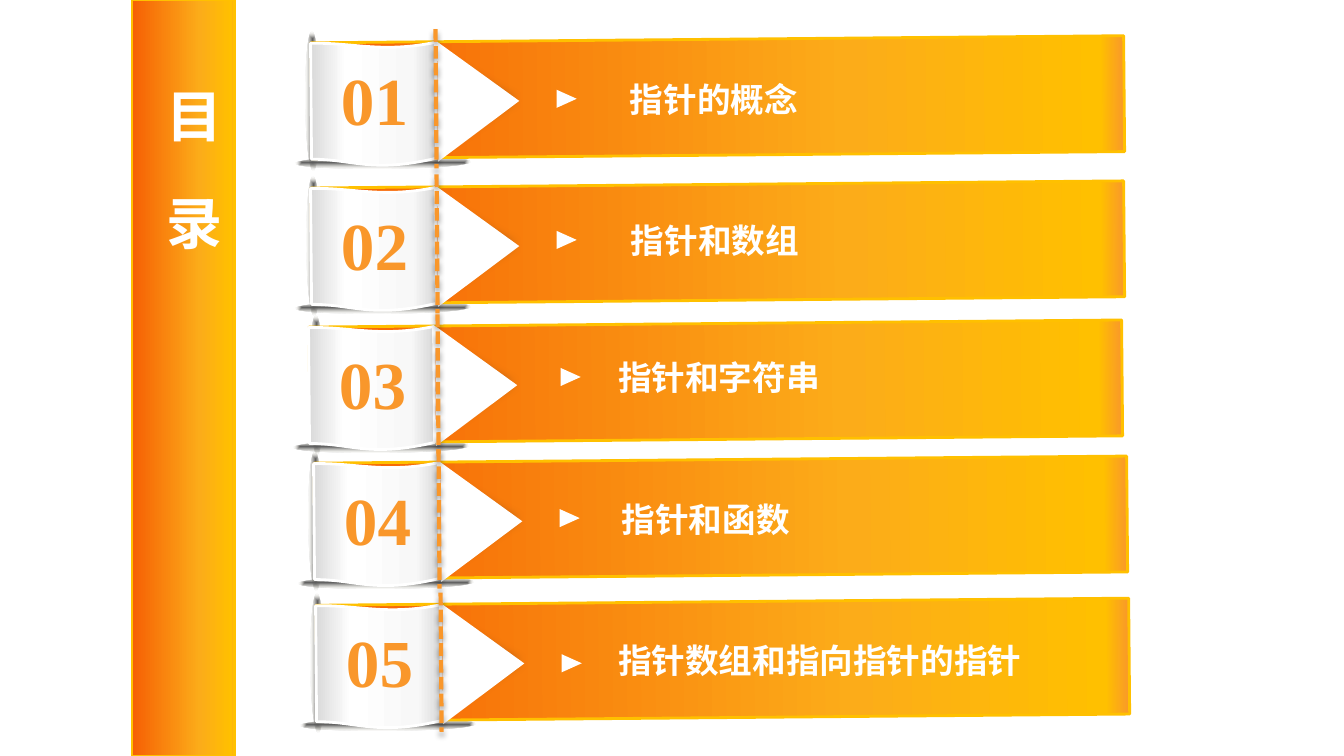
from dataclasses import dataclass

from pptx import Presentation
from pptx.dml.color import RGBColor
from pptx.enum.dml import MSO_LINE
from pptx.enum.shapes import MSO_CONNECTOR, MSO_SHAPE
from pptx.enum.text import MSO_ANCHOR, MSO_AUTO_SIZE, PP_ALIGN
from pptx.oxml import parse_xml
from pptx.oxml.ns import nsdecls, qn
from pptx.util import Inches, Pt

FONT = "Times New Roman"
ORANGE, GOLD, BROWN, WHITE = "F9972B", "FFC000", "904E1C", "FFFFFF"
BAR_STOPS = [(0, "F66004", 100), (66, "FCAC19", 100), (97, GOLD, 100), (100, ORANGE, 100)]
SHEET_STOPS = [(0, "D9D9D9", 100), (28, WHITE, 100), (81, "F8F8F8", 100), (100, "D7D7D7", 100)]
ROD_STOPS = [(0, "595959", 100), (100, "EEECE1", 0)]
LINEAR = '<a:lin ang="0" scaled="0"/>'
RADIAL = '<a:path path="shape"><a:fillToRect l="50000" t="50000" r="50000" b="50000"/></a:path>'
TILT = 359.5
UPRIGHT = 89.5

SHADE = [[(0.2, 0.05)], [(5.93, -0.01)], [(5.99, 1.14)], [(0.21, 1.06)]]
SHEET = [[(-0.01, 0.04)], [(0.41, 0.03), (0.69, 0.14), (1.23, 0.03)],
         [(1.24, 1.18)], [(0.59, 1.33), (0.42, 1.19), (0, 1.19)]]
FLAP_SHADOW = [[(1.25, 0.04)], [(1.71, 0.22), (1.6, 0.21), (2.3, 0.6)],
               [(1.56, 1.0), (1.69, 1.07), (1.26, 1.18)]]


@dataclass
class Row:
    number: str
    label: str
    left: float
    top: float
    rod_left: float
    dash: tuple
    marker: tuple
    label_box: tuple


ROWS = [
    Row("01", "指针的概念", 3.09, 0.39, 2.41, (4.32, 0.29), (5.53, 0.88), (5.61, 0.81, 2.94, 0.43)),
    Row("02", "指针和数组", 3.09, 1.83, 2.42, (4.33, 1.73), (5.53, 2.28), (5.62, 2.21, 2.94, 0.43)),
    Row("03", "指针和字符串", 3.07, 3.21, 2.45, (4.34, 3.12), (5.57, 3.64), (5.66, 3.57, 2.94, 0.43)),
    Row("04", "指针和函数", 3.12, 4.56, 2.44, (4.35, 4.46), (5.56, 5.04), (5.53, 4.98, 2.94, 0.43)),
    Row("05", "指针数组和指向指针的指针", 3.14, 5.97, 2.46, (4.37, 5.88), (5.58, 6.48), (5.73, 6.38, 4.8, 0.42)),
]


def colour(code):
    return RGBColor.from_string(code)


def draw_gradient(shape, stops, direction):
    marks = "".join(
        f'<a:gs pos="{place * 1000}"><a:srgbClr val="{code}">'
        f'<a:alpha val="{alpha * 1000}"/></a:srgbClr></a:gs>'
        for place, code, alpha in stops)
    shape.fill.background()
    properties = shape.element.spPr
    properties.replace(properties.find(qn("a:noFill")), parse_xml(
        f'<a:gradFill {nsdecls("a")} rotWithShape="1"><a:gsLst>{marks}</a:gsLst>{direction}</a:gradFill>'))


def paint(shape, fill, line=None, direction=LINEAR, alpha=None, soft=None):
    shape.shadow.inherit = False
    if isinstance(fill, list):
        draw_gradient(shape, fill, direction)
    else:
        shape.fill.solid()
        shape.fill.fore_color.rgb = colour(fill)
    if alpha:
        shape.element.spPr.find(".//" + qn("a:srgbClr")).append(
            parse_xml(f'<a:alpha {nsdecls("a")} val="{alpha * 1000}"/>'))
    if line:
        shape.line.color.rgb = colour(line)
        shape.line.width = Pt(2)
    else:
        shape.line.fill.background()
    if soft:
        shape.element.spPr.find(qn("a:effectLst")).append(
            parse_xml(f'<a:softEdge {nsdecls("a")} rad="{Pt(soft)}"/>'))
    return shape


def add_preset(page, kind, box, fill, rotation=0, **look):
    shape = page.shapes.add_shape(kind, *map(Inches, box))
    shape.rotation = rotation
    return paint(shape, fill, **look)


def bend(shape, segments):
    steps = iter(list(shape.element.spPr.iter(qn("a:lnTo"))))
    for segment in segments[1:]:
        first, *others = [next(steps) for _ in segment]
        if others:
            curve = parse_xml(f'<a:cubicBezTo {nsdecls("a")}/>')
            first.addprevious(curve)
            for step in (first, *others):
                curve.append(step[0])
                step.getparent().remove(step)


def add_outline(page, left, top, segments, fill, **look):
    start, *others = [(Inches(left + x), Inches(top + y)) for segment in segments for x, y in segment]
    builder = page.shapes.build_freeform(*start)
    builder.add_line_segments(others, close=False)
    shape = builder.convert_to_shape()
    bend(shape, segments)
    outline = next(shape.element.spPr.iter(qn("a:moveTo"))).getparent()
    outline.append(parse_xml(f'<a:close {nsdecls("a")}/>'))
    return paint(shape, fill, **look)


def write(frame, text, size, code, align=PP_ALIGN.CENTER, spacing=None, tracking=None):
    para = frame.paragraphs[0]
    para.alignment = align
    para.line_spacing = spacing
    span = para.add_run()
    span.text = text
    span.font.name = FONT
    span.font.size = Pt(size)
    span.font.bold = True
    span.font.color.rgb = colour(code)
    if tracking:
        span.font._element.set("spc", str(tracking * 100))


def add_label(page, box, text, size, code):
    frame = page.shapes.add_textbox(*map(Inches, box)).text_frame
    frame.word_wrap = True
    frame.auto_size = MSO_AUTO_SIZE.SHAPE_TO_FIT_TEXT
    write(frame, text, size, code, spacing=0.8)


def add_dash(page, left, top):
    dash = page.shapes.add_connector(
        MSO_CONNECTOR.STRAIGHT, *map(Inches, (left, top, left + 0.01, top + 1.38)))
    dash.line.color.rgb = colour(ORANGE)
    dash.line.width = Pt(3)
    dash.line.dash_style = MSO_LINE.SQUARE_DOT
    dash.element.spPr.append(parse_xml(
        f'<a:effectLst {nsdecls("a")}><a:outerShdw blurRad="{Pt(4)}" dist="{Pt(3)}" dir="5400000">'
        '<a:srgbClr val="000000"><a:alpha val="40000"/></a:srgbClr></a:outerShdw></a:effectLst>'))


def add_row(page, row):
    left, top = row.left, row.top
    add_outline(page, left, top, SHADE, BROWN, alpha=43, soft=8)
    add_preset(page, MSO_SHAPE.OVAL, (row.rod_left, top + 0.54, 1.38, 0.14), ROD_STOPS, UPRIGHT, direction=RADIAL)
    add_preset(page, MSO_SHAPE.OVAL, (left - 0.16, top + 1.16, 1.74, 0.12), ROD_STOPS, TILT, direction=RADIAL)
    add_preset(page, MSO_SHAPE.RECTANGLE, (left, top, 8.06, 1.15), BAR_STOPS, TILT, line=GOLD)
    add_outline(page, left, top, SHEET, SHEET_STOPS, line=WHITE)
    add_outline(page, left, top, FLAP_SHADOW, BROWN, soft=8)
    add_preset(page, MSO_SHAPE.ISOSCELES_TRIANGLE, (left + 1.06, top + 0.21, 1.19, 0.81), WHITE, UPRIGHT)
    add_dash(page, *row.dash)
    add_label(page, (left + 0.09, top + 0.29, 1.07, 0.77), row.number, 48, ORANGE)
    add_preset(page, MSO_SHAPE.ISOSCELES_TRIANGLE, (*row.marker, 0.18, 0.2), WHITE, 90)
    add_label(page, row.label_box, row.label, 24, WHITE)


def add_sidebar(page, left, top, width, height):
    band = add_preset(page, MSO_SHAPE.RECTANGLE, (left, top, width, height), BAR_STOPS, line=GOLD)
    title = page.shapes.title
    title.left, title.top, title.width, title.height = map(
        Inches, (left + 0.15, top + 0.83, 0.88, 1.77))
    frame = title.text_frame
    frame.word_wrap = False
    frame.auto_size = MSO_AUTO_SIZE.NONE
    frame.vertical_anchor = MSO_ANCHOR.TOP
    frame._txBody.bodyPr.set("vert", "eaVert")
    write(frame, "目录", 40, WHITE, align=PP_ALIGN.LEFT, tracking=36)
    band.element.addnext(title.element)


def main():
    deck = Presentation()
    deck.slide_width, deck.slide_height = Inches(13.33), Inches(7.5)
    page = deck.slides.add_slide(deck.slide_layouts[5])
    add_sidebar(page, 1.31, 0, 1.02, 7.5)
    for row in ROWS:
        add_row(page, row)
    deck.save("out.pptx")


if __name__ == "__main__":
    main()
